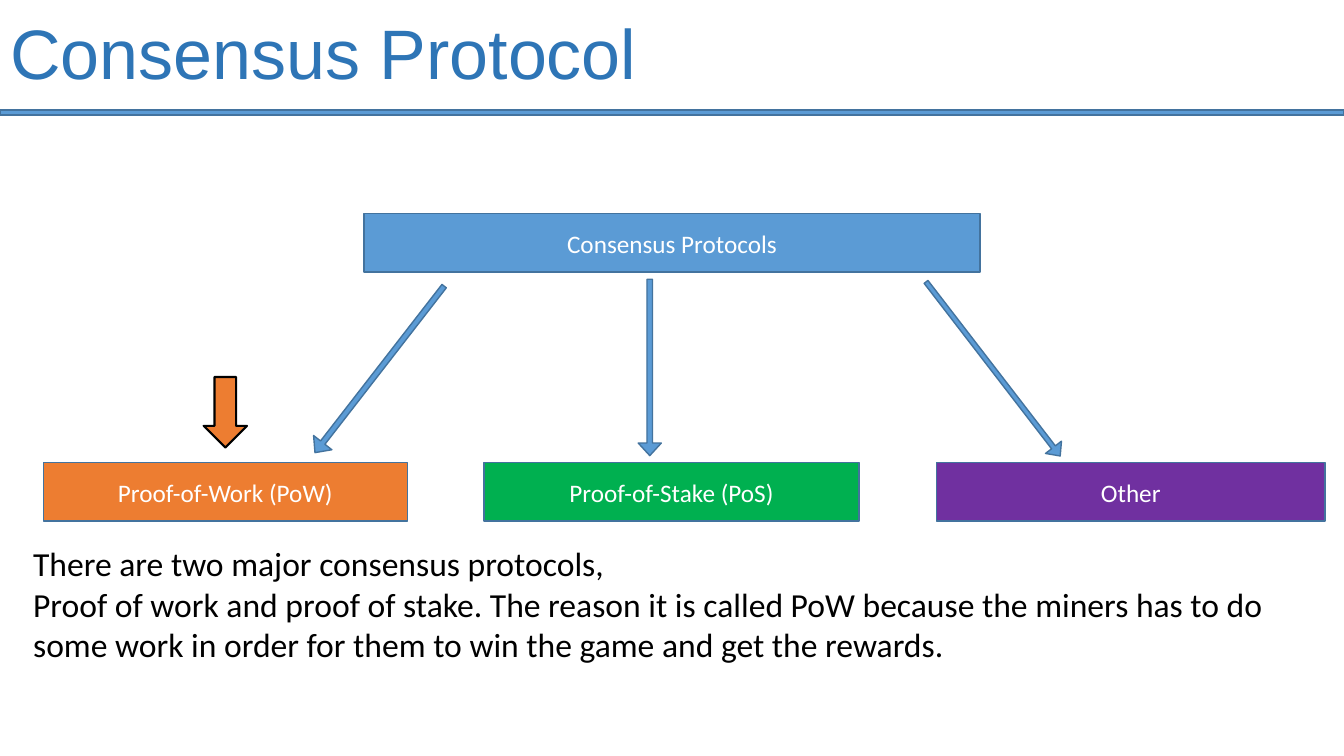
from pptx import Presentation
from pptx.dml.color import RGBColor
from pptx.enum.shapes import MSO_SHAPE
from pptx.enum.text import MSO_ANCHOR, MSO_AUTO_SIZE, PP_ALIGN
from pptx.util import Pt

RECT, DOWN, LEFT_ARROW = MSO_SHAPE.RECTANGLE, MSO_SHAPE.DOWN_ARROW, MSO_SHAPE.LEFT_ARROW
MIDDLE = MSO_ANCHOR.MIDDLE
LEFT, CENTER = PP_ALIGN.LEFT, PP_ALIGN.CENTER

PX = 9144  # 100 px to the inch
W, H = 1333, 750
COLORS = {
    "title": "2E75B6", "blue": "5B9BD5", "edge": "43739E", "orange": "ED7D31",
    "green": "00B050", "purple": "7030A0", "white": "FFFFFF", "black": "000000",
}


def rgb(name):
    return RGBColor.from_string(COLORS[name])


def emu(*lengths):
    return [n * PX for n in lengths]


def style(p, text, size, color, font="Calibri", align=LEFT):
    p.text = text
    p.alignment = align
    p.font.name, p.font.size = font, Pt(size)
    p.font.color.rgb = rgb(color)


def add_block(s, kind, box, fill, line="edge", width=1):
    sp = s.shapes.add_shape(kind, *emu(*box))
    sp.shadow.inherit = False
    sp.fill.solid()
    sp.fill.fore_color.rgb = rgb(fill)
    sp.line.color.rgb = rgb(line)
    sp.line.width = Pt(width)
    return sp


def add_label(s, box, fill, text):
    tf = add_block(s, RECT, box, fill).text_frame
    tf.vertical_anchor = MIDDLE
    style(tf.paragraphs[0], text, 18, "white", align=CENTER)


def add_arrow(s, box, angle):
    sp = add_block(s, LEFT_ARROW, box, "blue")
    sp.adjustments[0], sp.adjustments[1] = 0.237, 0.545
    sp.rotation = angle


def add_header(s, x, y, w, h):
    # Title with a rule beneath it
    title = s.shapes.title
    title.left, title.top, title.width, title.height = emu(x, y, w, h)
    tf = title.text_frame
    tf.word_wrap = True
    tf.auto_size = MSO_AUTO_SIZE.NONE
    tf.vertical_anchor = MIDDLE
    p = tf.paragraphs[0]
    style(p, "Consensus Protocol", 50, "title", "Arial")
    p.line_spacing = 0.9
    add_block(s, RECT, (x, y + h - 3, w, 5), "blue")


def add_tree(s, x, y):
    # Root and its three branches
    box_h, branch_y = 58, y + 247
    add_label(s, (x + 318, y, 611, box_h), "blue", "Consensus Protocols")
    branches = [
        (0, 361, "orange", "Proof-of-Work (PoW)"),
        (437, 372, "green", "Proof-of-Stake (PoS)"),
        (886, 385, "purple", "Other"),
    ]
    for dx, w, fill, text in branches:
        add_label(s, (x + dx, branch_y, w, box_h), fill, text)

    # Marker above the highlighted branch
    add_block(s, DOWN, (x + 159, y + 162, 43, 70), "orange", "black", 1.5)

    # Arrows from the root to the branches
    arrows = [
        (229, 143, 209, 23, 307.8),
        (514, 141, 175, 23, 270),
        (833, 144, 218, 20, 232.4),
    ]
    for dx, dy, w, h, angle in arrows:
        add_arrow(s, (x + dx, y + dy, w, h), angle)


def add_explanation(s, x, y, w, h):
    tf = s.shapes.add_textbox(*emu(x, y, w, h)).text_frame
    tf.word_wrap = True
    lines = [
        "There are two major consensus protocols,",
        "Proof of work and proof of stake. The reason it is called PoW because the "
        "miners has to do some work in order for them to win the game and get the rewards.",
    ]
    for i, text in enumerate(lines):
        p = tf.add_paragraph() if i else tf.paragraphs[0]
        style(p, text, 24, "black")


def main():
    prs = Presentation()
    prs.slide_width, prs.slide_height = emu(W, H)
    s = prs.slides.add_slide(prs.slide_layouts[5])
    add_header(s, 0, 0, W, 112)
    add_tree(s, 43, 212)
    add_explanation(s, 23, 534, 1291, 172)
    prs.save("out.pptx")


if __name__ == "__main__":
    main()
